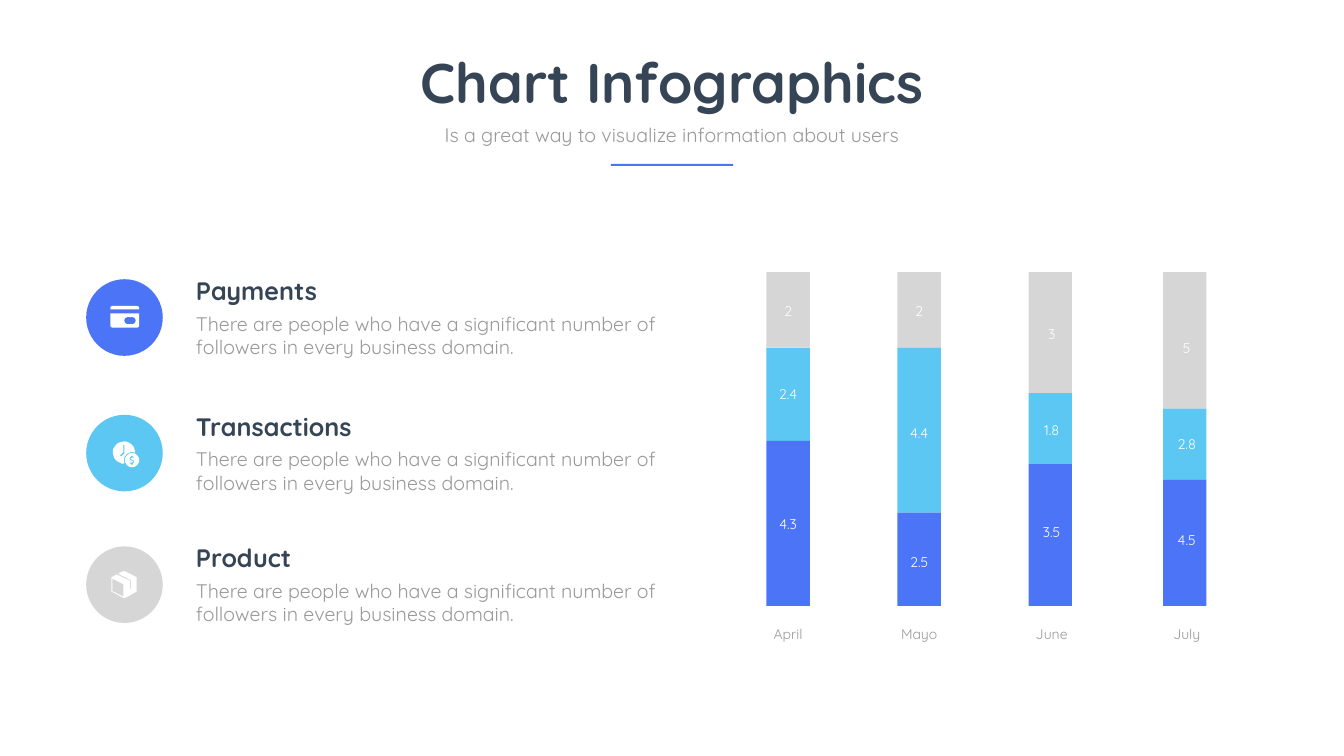
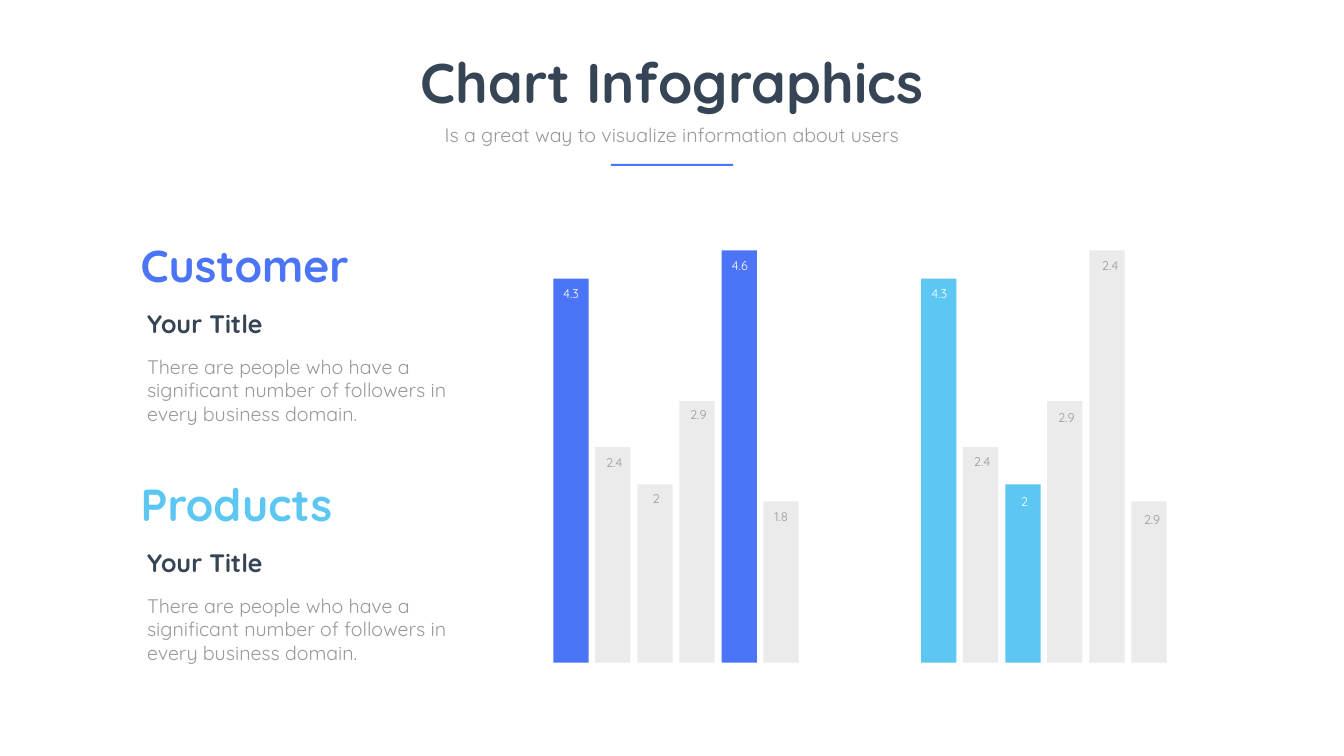
from math import cos, radians, sin

from pptx import Presentation
from pptx.dml.color import RGBColor
from pptx.enum.shapes import MSO_SHAPE
from pptx.enum.text import MSO_ANCHOR, MSO_AUTO_SIZE, PP_ALIGN
from pptx.util import Emu, Pt

PX = 9144  # EMU per px, 100 px to the inch
SLIDE_W, SLIDE_H = 2667, 1500
FONT = "Quicksand"

BLUE = RGBColor(0x4B, 0x74, 0xF6)
CYAN = RGBColor(0x5B, 0xC7, 0xF2)
SILVER = RGBColor(0xD5, 0xD6, 0xD5)
PALE = RGBColor(0xEB, 0xEB, 0xEB)
NAVY = RGBColor(0x36, 0x45, 0x56)
GRAY = RGBColor(0x99, 0x99, 0x99)
WHITE = RGBColor(0xFF, 0xFF, 0xFF)

BLURB = ("There are people who have a significant number of "
         "followers in every business domain.")
LABEL_W = 156


def emu(px):
    return Emu(round(px * PX))


def add_text(slide, text, x, y, w, h, size=28, color=GRAY, bold=False,
             align=PP_ALIGN.LEFT, anchor=MSO_ANCHOR.TOP, inset=None):
    frame = slide.shapes.add_textbox(emu(x), emu(y), emu(w), emu(h)).text_frame
    frame.word_wrap = True
    frame.auto_size = MSO_AUTO_SIZE.SHAPE_TO_FIT_TEXT
    frame.vertical_anchor = anchor
    if inset is not None:
        frame.margin_left = frame.margin_right = emu(inset)
        frame.margin_top = frame.margin_bottom = emu(inset)
    paragraph = frame.paragraphs[0]
    paragraph.alignment = align
    run = paragraph.add_run()
    run.text = text
    run.font.name = FONT
    run.font.size = Pt(size)
    run.font.bold = bold
    run.font.color.rgb = color


def paint(shape, color):
    shape.shadow.inherit = False
    shape.fill.solid()
    shape.fill.fore_color.rgb = color
    shape.line.fill.background()


def add_block(slide, x, y, w, h, color, kind=MSO_SHAPE.RECTANGLE):
    paint(slide.shapes.add_shape(kind, emu(x), emu(y), emu(w), emu(h)), color)


def add_outline(slide, x, y, contours):
    """Draw one white shape; contours inside the first are holes."""
    first, *holes = contours
    builder = slide.shapes.build_freeform(*first[0], scale=PX)
    builder.add_line_segments(first[1:], close=True)
    for hole in holes:
        builder.move_to(*hole[0])
        builder.add_line_segments(hole[1:], close=True)
    paint(builder.convert_to_shape(emu(x), emu(y)), WHITE)


def arc(cx, cy, r, start, end, steps=24):
    """Points along an arc, in degrees clockwise from the right."""
    angles = [radians(start + (end - start) * i / steps) for i in range(steps + 1)]
    return [(cx + r * cos(a), cy + r * sin(a)) for a in angles]


# Each icon is a list of outlines, placed relative to its 152 px disc.
CARD = [
    [[(48, 60), (48, 57), (49, 54), (52, 53), (100, 53), (104, 54), (105, 57), (105, 60)]],
    [[(48, 68), (105, 68), (105, 92), (104, 95), (101, 96), (52, 96), (49, 95), (48, 92)],
     arc(83, 82, 7, 90, 270) + arc(91, 82, 7, 270, 450)],
]
CLOCK_AND_COIN = [
    [arc(75, 75, 22, 90, 355) + arc(91, 90, 16, 292, 160),
     [(67, 81), (74, 74), (74, 60), (76, 60), (76, 76), (69, 83)]],
    [arc(91, 90, 14, 0, 360),
     [(90, 89), (91, 89), (94, 90), (95, 93), (94, 96), (92, 97), (92, 99), (91, 100),
      (89, 99), (89, 97), (87, 97), (86, 96), (87, 95), (91, 95), (93, 93), (91, 91),
      (90, 91), (87, 90), (86, 87), (87, 84), (89, 83), (89, 81), (91, 81), (92, 82),
      (92, 83), (94, 83), (95, 84), (94, 85), (90, 85), (88, 87)]],
]
PACKAGE_BOX = [
    [[(100, 61), (76, 49), (75, 49), (65, 53), (65, 55), (88, 67), (89, 68), (89, 84),
      (88, 85), (87, 84), (87, 69), (86, 68), (61, 56), (60, 56), (51, 61), (50, 62),
      (50, 89), (51, 90), (75, 103), (76, 103), (100, 90), (100, 62)],
     [(74, 100), (52, 89), (52, 64), (74, 75)]],
]

TOPICS = [  # top, heading, disc colour, icon
    (542, "Payments", BLUE, CARD),
    (811, "Transactions", CYAN, CLOCK_AND_COIN),
    (1072, "Product", SILVER, PACKAGE_BOX),
]

STACK_COLORS = (SILVER, CYAN, BLUE)
MONTHS = [  # name, bar left, label left, (height, value, label top) from the top down
    ("April", 1521, 1486, [(150, "2", 56), (185, "2.4", 220), (327, "4.3", 477)]),
    ("Mayo", 1781, 1746, [(150, "2", 56), (327, "4.4", 297), (185, "2.5", 554)]),
    ("June", 2041, 2009, [(240, "3", 101), (141, "1.8", 291), (281, "3.5", 494)]),
    ("July", 2308, 2277, [(271, "5", 129), (141, "2.8", 320), (250, "4.5", 509)]),
]

BAR_HEIGHTS = (762, 428, 354, 519, 818, 320)
CUSTOMER_BARS = [  # value, highlighted, label shift right, label gap below bar top
    ("4.3", True, 0, 9), ("2.4", False, 3, 10), ("2", False, 2, 8),
    ("2.9", False, 3, 7), ("4.6", True, 1, 10), ("1.8", False, 0, 9),
]
PRODUCT_BARS = [
    ("4.3", True, 1, 9), ("2.4", False, 3, 8), ("2", True, 3, 14),
    ("2.9", False, 3, 13), ("2.4", False, 6, 9), ("2.9", False, 6, 16),
]


def add_header(slide):
    add_text(slide, "Chart Infographics", 688, 90, 1291, 145, size=80, color=NAVY,
             bold=True, align=PP_ALIGN.CENTER)
    add_text(slide, "Is a great way to visualize information about users",
             855, 238, 956, 57, align=PP_ALIGN.CENTER)
    add_block(slide, 1212, 325, 243, 4, BLUE)


def add_topic(slide, x, y, heading, color, icon):
    disc_y = y + 12
    add_block(slide, x, disc_y, 152, 152, color, MSO_SHAPE.OVAL)
    for contours in icon:
        add_outline(slide, x, disc_y, contours)
    add_text(slide, heading, x + 208, y, 775, 71, size=36, color=NAVY, bold=True)
    add_text(slide, BLURB, x + 208, y + 71, 955, 104)


def add_stacked_month(slide, y, month, bar_x, label_x, segments):
    segment_y = y
    for (height, value, label_top), color in zip(segments, STACK_COLORS):
        add_block(slide, bar_x, segment_y, 86, height, color)
        add_text(slide, value, label_x, y + label_top, LABEL_W, 44, size=20,
                 color=WHITE, align=PP_ALIGN.CENTER)
        segment_y += height
    add_text(slide, month, label_x, y + 696, LABEL_W, 44, size=20,
             align=PP_ALIGN.CENTER)


def add_group_summary(slide, x, y, name, color):
    add_text(slide, name, x, y, 630, 119, size=64, color=color, bold=True,
             anchor=MSO_ANCHOR.MIDDLE, inset=6)
    add_text(slide, "Your Title", x + 9, y + 141, 630, 71, size=36, color=NAVY, bold=True)
    add_text(slide, BLURB, x + 9, y + 234, 676, 151)


def add_bars(slide, x, base, bars, highlight):
    bar_w, pitch = 70, 83.4
    for i, ((value, highlighted, shift, gap), height) in enumerate(zip(bars, BAR_HEIGHTS)):
        bar_x = x + round(i * pitch)
        top = base - height
        add_block(slide, bar_x, top, bar_w, height, highlight if highlighted else PALE)
        add_text(slide, value, bar_x + (bar_w - LABEL_W) // 2 + shift, top + gap,
                 LABEL_W, 40, size=18, color=WHITE if highlighted else GRAY,
                 align=PP_ALIGN.CENTER)


def build_stacked_slide(slide):
    add_header(slide)
    for top, heading, color, icon in TOPICS:
        add_topic(slide, 171, top, heading, color, icon)
    for month in MONTHS:
        add_stacked_month(slide, 540, *month)


def build_comparison_slide(slide):
    add_header(slide)
    add_group_summary(slide, 273, 465, "Customer", BLUE)
    add_group_summary(slide, 273, 939, "Products", CYAN)
    add_bars(slide, 1098, 1315, CUSTOMER_BARS, BLUE)
    add_bars(slide, 1828, 1315, PRODUCT_BARS, CYAN)


def main():
    deck = Presentation()
    deck.slide_width, deck.slide_height = emu(SLIDE_W), emu(SLIDE_H)
    blank = deck.slide_layouts[6]
    for build in (build_stacked_slide, build_comparison_slide):
        build(deck.slides.add_slide(blank))
    deck.save("out.pptx")


if __name__ == "__main__":
    main()
